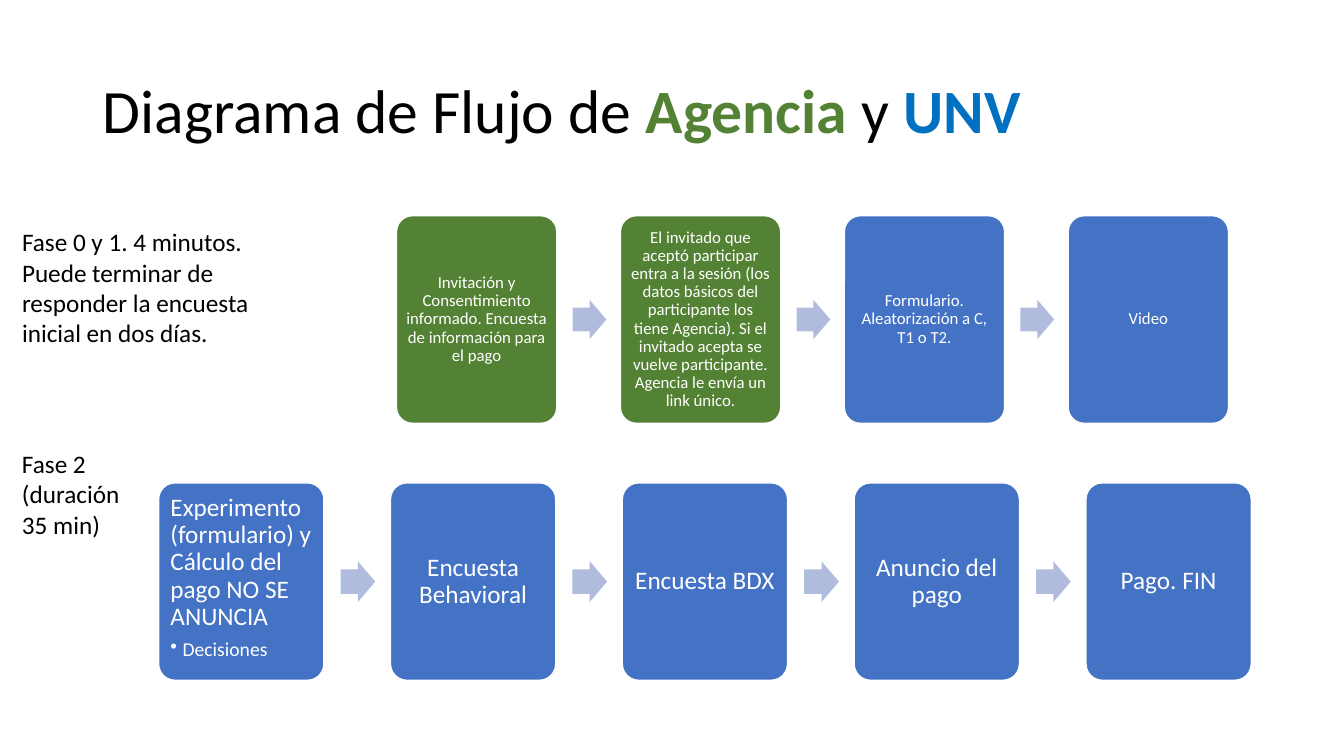
from lxml import etree
from pptx import Presentation, util as u
from pptx.dml.color import RGBColor
from pptx.enum import shapes, text
from pptx.oxml import ns

WIDTH, HEIGHT = u.Inches(13.33), u.Inches(7.5)
GREEN, BLUE, PALE, WHITE, BLACK = "548235", "4472C4", "B0BCDE", "FFFFFF", "000000"
TITLE = [("Diagrama de Flujo de ", BLACK, False), ("Agencia", GREEN, True),
         (" y ", BLACK, False), ("UNV", "0070C0", True)]
PHASE_ONE = [
    ("Invitación y Consentimiento informado. Encuesta de información para el pago", GREEN),
    ("El invitado que aceptó participar entra a la sesión (los datos básicos del "
     "participante los tiene Agencia). Si el invitado acepta se vuelve participante. "
     "Agencia le envía un link único.", GREEN),
    ("Formulario. Aleatorización a C, T1 o T2.", BLUE),
    ("Video", BLUE),
]
PHASE_TWO = [
    ("Experimento (formulario) y Cálculo del pago NO SE ANUNCIA", BLUE),
    ("Encuesta Behavioral", BLUE),
    ("Encuesta BDX", BLUE),
    ("Anuncio del pago", BLUE),
    ("Pago. FIN", BLUE),
]


def across(percent):
    """Turn a percentage of the slide's width into a length."""
    return int(WIDTH * percent / 100)


def down(percent):
    """Turn a percentage of the slide's height into a length."""
    return int(HEIGHT * percent / 100)


def color(value):
    """Turn a hex string into a colour."""
    return RGBColor.from_string(value)


def style(span, size, value, bold=False):
    """Set the font of one run."""
    span.font.name, span.font.size = "Calibri", u.Pt(size)
    span.font.bold, span.font.color.rgb = bold, color(value)


def add_label(page, left, top, width, height, spans, size):
    """Add a wrapped text box whose single paragraph holds the given spans."""
    box = page.shapes.add_textbox(across(left), down(top), across(width), down(height))
    box.text_frame.word_wrap = True
    para = box.text_frame.paragraphs[0]
    for words, value, bold in spans:
        span = para.add_run()
        span.text = words
        style(span, size, value, bold)
    return box


def add_block(page, kind, left, top, width, height, fill, adjustments):
    """Add a flat filled preset shape without an outline."""
    block = page.shapes.add_shape(kind, left, top, width, height)
    for index, value in enumerate(adjustments):
        block.adjustments[index] = value
    block.shadow.inherit = False
    block.fill.solid()
    block.fill.fore_color.rgb = color(fill)
    block.line.fill.background()
    return block


def add_step(page, left, top, width, height, words, fill, size, inset):
    """Add a rounded step with centred text."""
    step = add_block(page, shapes.MSO_SHAPE.ROUNDED_RECTANGLE,
                     left, top, width, height, fill, [0.1])
    step.line.color.rgb, step.line.width = color(WHITE), u.Pt(1)
    frame = step.text_frame
    frame.word_wrap = True
    frame.vertical_anchor = text.MSO_ANCHOR.MIDDLE
    frame.margin_left = frame.margin_right = u.Inches(inset)
    frame.margin_top = frame.margin_bottom = u.Inches(inset)
    frame.text = words
    para = frame.paragraphs[0]
    para.alignment, para.line_spacing = text.PP_ALIGN.CENTER, 0.9
    style(para.runs[0], size, WHITE)
    return step


def add_flow(page, steps, left, top, width, height, pitch, size, inset):
    """Add a row of steps at equal pitch, with an arrow in each gap."""
    wide, tall = across(width), down(height)
    gap = across(pitch) - wide
    arrow_wide = int(wide * 0.21)
    arrow_tall = int(arrow_wide * 1.17)
    row = []
    for index, (words, fill) in enumerate(steps):
        start = across(left + index * pitch)
        row.append(add_step(page, start, down(top), wide, tall, words, fill, size, inset))
        if index < len(steps) - 1:
            add_block(page, shapes.MSO_SHAPE.RIGHT_ARROW, start + wide + gap // 4,
                      down(top) + (tall - arrow_tall) // 2,
                      arrow_wide, arrow_tall, PALE, [0.6, 0.5])
    return row


def add_bullet(step, words, size):
    """Align a step's text to the top left and add a bulleted line below it."""
    frame = step.text_frame
    frame.vertical_anchor = text.MSO_ANCHOR.TOP
    frame.paragraphs[0].space_after = u.Pt(6.3)
    para = frame.add_paragraph()
    para.text, para.level, para.line_spacing = words, 1, 0.9
    style(para.runs[0], size, WHITE)
    for each in frame.paragraphs:
        each.alignment = text.PP_ALIGN.LEFT
    settings = para._p.get_or_add_pPr()
    settings.set("marL", str(u.Inches(0.12)))
    settings.set("indent", str(-u.Inches(0.12)))
    etree.SubElement(settings, ns.qn("a:buChar")).set("char", "•")


def main():
    """Build the flow diagram and save it."""
    deck = Presentation()
    deck.slide_width, deck.slide_height = WIDTH, HEIGHT
    page = deck.slides.add_slide(deck.slide_layouts[6])
    title = add_label(page, 6.9, 5.33, 86.27, 19.33, TITLE, 44)
    title.text_frame.vertical_anchor = text.MSO_ANCHOR.MIDDLE
    title.text_frame.paragraphs[0].line_spacing = 0.9
    add_flow(page, PHASE_ONE, 29.5, 28.53, 11.93, 27.47, 16.66, 12, 0.05)
    experiment = add_flow(page, PHASE_TWO, 11.8, 63.87, 12.3, 26.13, 17.25, 18, 0.07)[0]
    add_bullet(experiment, "Decisiones", 14)
    phase_one = ("Fase 0 y 1. 4 minutos. Puede terminar de responder "
                 "la encuesta inicial en dos días.")
    add_label(page, 0.9, 29.33, 18.9, 21.6, [(phase_one, BLACK, False)], 18)
    add_label(page, 0.9, 58.67, 9.08, 13.47, [("Fase 2 (duración 35 min)", BLACK, False)], 18)
    deck.save("out.pptx")


if __name__ == "__main__":
    main()
